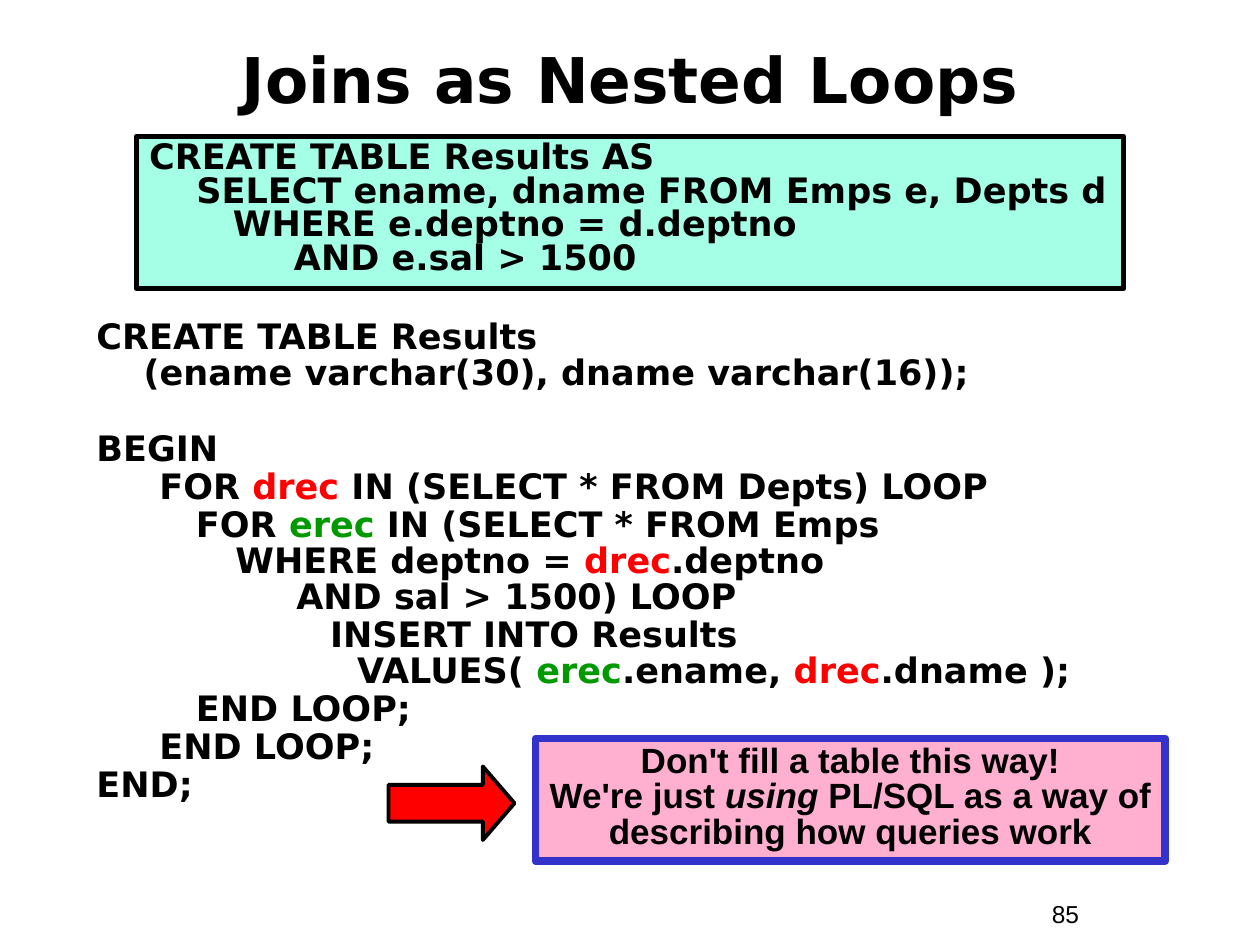
from copy import deepcopy
from dataclasses import dataclass

from lxml import etree
from pptx import Presentation
from pptx.dml.color import RGBColor
from pptx.enum.shapes import MSO_SHAPE
from pptx.enum.text import MSO_ANCHOR, MSO_AUTO_SIZE, PP_ALIGN
from pptx.oxml.ns import qn
from pptx.util import Pt

RECTANGLE, RIGHT_ARROW = MSO_SHAPE.RECTANGLE, MSO_SHAPE.RIGHT_ARROW
TOP, MIDDLE = MSO_ANCHOR.TOP, MSO_ANCHOR.MIDDLE
NO_AUTOFIT = MSO_AUTO_SIZE.NONE
LEFT, CENTER = PP_ALIGN.LEFT, PP_ALIGN.CENTER


@dataclass(frozen=True)
class Theme:
    code_font: str = "DejaVu Sans"
    note_font: str = "Arial"
    title_size: int = 36
    text_size: int = 20
    number_size: int = 14
    ink: str = "000000"
    outer: str = "FF0000"
    inner: str = "009900"
    query_fill: str = "A5FFE7"
    warning_fill: str = "FFAFCF"
    warning_line: str = "3333CC"


class SlideBuilder:
    indents = {0: (27, -27), 1: (58.5, -22.5)}

    def __init__(self, slide, theme):
        self.slide = slide
        self.theme = theme
        self.code_style = {"name": theme.code_font, "size": Pt(theme.text_size), "bold": True}
        self.note_style = {**self.code_style, "name": theme.note_font}
        self.title_style = {**self.code_style, "size": Pt(theme.title_size)}
        self.number_style = {"name": theme.note_font, "size": Pt(theme.number_size)}

    def place(self, shape, box):
        for side, value in zip(("left", "top", "width", "height"), box):
            setattr(shape, side, Pt(value))

    def paint(self, shape, fill, line, weight):
        shape.fill.solid()
        shape.fill.fore_color.rgb = RGBColor.from_string(fill)
        shape.line.color.rgb = RGBColor.from_string(line)
        shape.line.width = Pt(weight)

    def frame(self, shape, anchor=TOP):
        frame = shape.text_frame
        layout = {
            "word_wrap": True, "auto_size": NO_AUTOFIT, "vertical_anchor": anchor,
            "margin_left": Pt(7.2), "margin_right": Pt(7.2),
            "margin_top": Pt(3.6), "margin_bottom": Pt(3.6),
        }
        for name, value in layout.items():
            setattr(frame, name, value)
        return frame

    def set_text(self, paragraph, pieces, style, **layout):
        for name, value in {"alignment": LEFT, "space_before": Pt(0), **layout}.items():
            setattr(paragraph, name, value)
        for text, changes in pieces:
            for index, line in enumerate(text.split("\n")):
                if index:
                    paragraph.add_line_break()
                    paragraph._p[-1].append(deepcopy(run._r.rPr))
                run = paragraph.add_run()
                run.text = line
                look = {"color": self.theme.ink, **style, **changes}
                run.font.color.rgb = RGBColor.from_string(look.pop("color"))
                for name, value in look.items():
                    setattr(run.font, name, value)

    def hang(self, paragraph, level):
        margin, indent = self.indents[level]
        properties = paragraph._p.get_or_add_pPr()
        properties.set("marL", str(Pt(margin)))
        properties.set("indent", str(Pt(indent)))
        etree.SubElement(properties, qn("a:buNone"))

    def title(self, text, box):
        title = self.slide.shapes.title
        self.place(title, box)
        paragraph = self.frame(title, MIDDLE).paragraphs[0]
        self.set_text(paragraph, [(text, {})], self.title_style, alignment=CENTER)

    def query(self, text, box):
        body = self.slide.placeholders[1]
        self.place(body, box)
        self.paint(body, self.theme.query_fill, self.theme.ink, 3)
        paragraph = self.frame(body).paragraphs[0]
        self.hang(paragraph, 0)
        self.set_text(paragraph, [(text, {})], self.code_style, line_spacing=0.8)

    def program(self, statements, box):
        frame = self.frame(self.slide.shapes.add_textbox(*map(Pt, box)))
        for index, (level, gap, pieces) in enumerate(statements):
            paragraph = frame.add_paragraph() if index else frame.paragraphs[0]
            self.hang(paragraph, level)
            self.set_text(paragraph, pieces, self.code_style, level=level,
                          line_spacing=0.85, space_before=Pt(gap))

    def warning(self, pieces, box):
        warning = self.slide.shapes.add_shape(RECTANGLE, *map(Pt, box))
        warning.shadow.inherit = False
        self.paint(warning, self.theme.warning_fill, self.theme.warning_line, 4.5)
        paragraph = self.frame(warning).paragraphs[0]
        self.set_text(paragraph, pieces, self.note_style, alignment=CENTER, line_spacing=0.85)

    def arrow(self, box):
        arrow = self.slide.shapes.add_shape(RIGHT_ARROW, *map(Pt, box))
        arrow.shadow.inherit = False
        arrow.adjustments[1] = 0.43
        self.paint(arrow, self.theme.outer, self.theme.ink, 2.25)

    def page_number(self, text, box):
        frame = self.frame(self.slide.shapes.add_textbox(*map(Pt, box)))
        self.set_text(frame.paragraphs[0], [(text, {})], self.number_style)


def main():
    deck = Presentation()
    deck.slide_width, deck.slide_height = Pt(720), Pt(540)
    theme = Theme()
    page = SlideBuilder(deck.slides.add_slide(deck.slide_layouts[1]), theme)

    drec = ("drec", {"color": theme.outer})
    erec = ("erec", {"color": theme.inner})
    line_gap, block_gap = 1.4, 23
    statements = [
        (0, 0, [("CREATE TABLE Results\n(ename varchar(30), dname varchar(16));", {})]),
        (0, block_gap, [("BEGIN", {})]),
        (1, line_gap, [("FOR ", {}), drec, (" IN (SELECT * FROM Depts) LOOP", {})]),
        (1, line_gap, [("   FOR ", {}), erec,
                       (" IN (SELECT * FROM Emps\n   WHERE deptno = ", {}), drec,
                       (".deptno\n        AND sal > 1500) LOOP", {})]),
        (1, line_gap, [("              INSERT INTO Results\n             VALUES( ", {}), erec,
                       (".ename, ", {}), drec, (".dname );", {})]),
        (1, line_gap, [("   END LOOP;", {})]),
        (1, line_gap, [("END LOOP;", {})]),
        (0, line_gap, [("END;", {})]),
    ]

    page.page_number("85", (594, 510, 66, 24.5))
    page.title("Joins as Nested Loops", (24, 24, 672, 42))
    page.query(
        "CREATE TABLE Results AS\n"
        "SELECT ename, dname FROM Emps e, Depts d\n"
        "   WHERE e.deptno = d.deptno\n"
        "        AND e.sal > 1500",
        (78, 78, 564, 87),
    )
    page.program(statements, (48, 180, 630, 312))
    page.warning(
        [("Don't fill a table this way!\nWe're just ", {}), ("using", {"italic": True}),
         (" PL/SQL as a way of describing how queries work", {})],
        (306, 422, 360, 70),
    )
    page.arrow((222, 438, 72, 42))
    deck.save("out.pptx")


if __name__ == "__main__":
    main()
